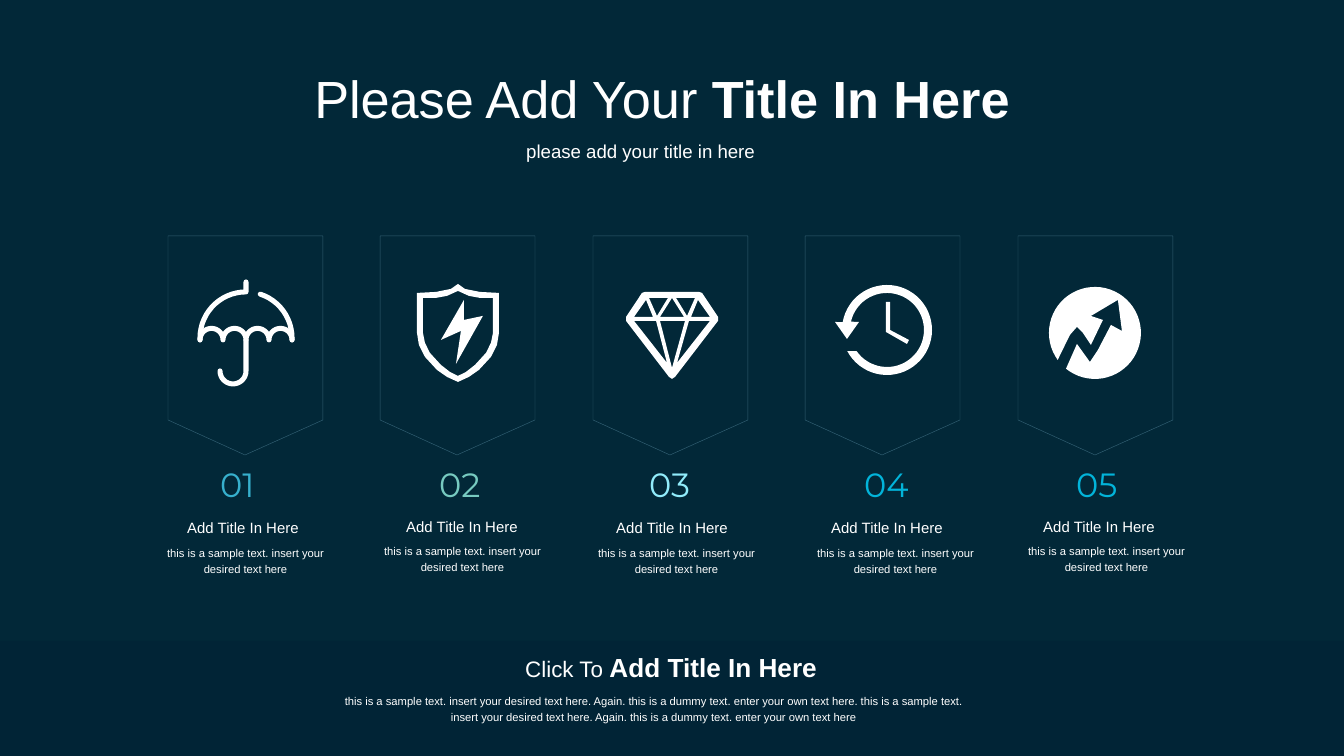
from math import cos, radians, sin

from lxml import etree
from pptx import Presentation
from pptx.dml.color import RGBColor
from pptx.enum.shapes import MSO_SHAPE
from pptx.enum.text import MSO_AUTO_SIZE, PP_ALIGN
from pptx.oxml.ns import qn
from pptx.util import Pt

RECTANGLE = MSO_SHAPE.RECTANGLE
GROW = MSO_AUTO_SIZE.SHAPE_TO_FIT_TEXT
CENTER, LEFT = PP_ALIGN.CENTER, PP_ALIGN.LEFT
PX = 9144000 / 1344
THEME = {
    "background": RGBColor.from_string("022838"),
    "band": RGBColor.from_string("012436"),
    "white": RGBColor.from_string("FFFFFF"),
    "outline": RGBColor.from_string("A4E2FE"),
    "numbers": [RGBColor.from_string(code) for code in
                ("37B0CD", "77CAC0", "91ECFB", "02B4DA", "02B4DA")],
    "font": "Arial",
    "number_font": "Montserrat",
    "title": Pt(28),
    "subtitle": Pt(10),
    "number": Pt(18),
    "heading": Pt(8),
    "body": Pt(6),
    "footer": Pt(12),
    "footer_bold": Pt(14),
    "leading": Pt(9),
}


def arc(x, y, radius, start, end):
    steps = max(8, abs(end - start) // 6)
    angles = [radians(start + (end - start) * step / steps) for step in range(steps + 1)]
    return [(x + radius * cos(angle), y + radius * sin(angle)) for angle in angles]


def add_text(box, parts, size, color=THEME["white"], font=THEME["font"], body=False):
    shape = slide.shapes.add_textbox(*(round(length * PX) for length in box))
    frame = shape.text_frame
    frame.word_wrap = body
    frame.auto_size = GROW
    paragraph = frame.paragraphs[0]
    paragraph.alignment = CENTER if body else LEFT
    if body:
        paragraph.line_spacing = THEME["leading"]
    paragraph.font.name = font
    paragraph.font.size = size
    paragraph.font.color.rgb = color
    for part in parts:
        paragraph.add_run().text = part
    return paragraph


presentation = Presentation()
presentation.slide_width = round(1344 * PX)
presentation.slide_height = round(756 * PX)
slide = presentation.slides.add_slide(presentation.slide_layouts[6])
slide.background.fill.solid()
slide.background.fill.fore_color.rgb = THEME["background"]

title = add_text((301, 60, 731, 77), ["Please Add Your ", "Title In Here"], THEME["title"])
title.runs[1].font.bold = True
add_text((513, 133, 257, 36), ["please add your title in here"], THEME["subtitle"])

umbrella = [
    [(246, 282), (246, 292)] + arc(246, 338, 46, 270, 180) + [(200, 340)],
    arc(246, 338, 46, 288, 360) + [(292, 340)],
    [point for x in (211.5, 234.5, 257.5, 280.5) for point in arc(x, 340, 11.5, 180, 360)],
    [(246, 340)] + arc(233, 371, 13, 0, 180),
]

shield_halves = [
    [(458, 284), (465, 289), (480, 292), (499, 293), (499, 333), (497, 345),
     (491, 357), (479, 370), (469, 377), (458, 382)],
    [(458, 291), (469, 296), (480, 298), (493, 298), (493, 333), (491, 343),
     (486, 353), (475, 365), (466, 372), (458, 376)],
]
shield = [half + [(916 - x, y) for x, y in reversed(half)] for half in shield_halves]
shield.append([(464, 300), (441, 340), (461, 331), (456, 364), (483, 316), (464, 320)])

diamond = [
    [(642, 293), (645, 292), (699, 292), (702, 293), (718, 317), (718, 321),
     (675, 377), (672, 379), (669, 377), (626, 321), (626, 317)],
    [(685, 321), (672, 368), (660, 321)],
    [(660, 317), (672, 298), (684, 317)],
    [(676, 298), (695, 298), (687, 316)],
    [(657, 316), (649, 298), (668, 298)],
    [(667, 363), (634, 321), (656, 321)],
    [(689, 321), (710, 321), (677, 363)],
    [(710, 317), (691, 317), (698, 300)],
    [(646, 300), (653, 317), (634, 317)],
]

clock = [
    arc(887, 330, 45, 190, 512) + arc(887, 330, 37, 505, 193)
    + [(859, 322), (847, 339), (835, 322)],
    [(886, 302), (886, 332), (907, 344), (909, 340), (890, 330), (890, 302)],
]

growth = [
    arc(1095, 333, 46, 144, 489)
    + [(1077, 344), (1090, 362), (1098, 350), (1111, 325), (1122, 331), (1118, 300),
       (1091, 316), (1103, 320), (1091, 345), (1083, 333), (1077, 327), (1070, 335)],
]

items = [
    (umbrella, 207, 136, 0),
    (shield, 426, 353, 1),
    (diamond, 636, 567, 0),
    (clock, 851, 786, 0),
    (growth, 1063, 997, 1),
]
for index, (icon, number_left, body_left, lift) in enumerate(items):
    left = 168 + 425 * index // 2
    badge = [(left, 236), (left + 155, 236), (left + 155, 420), (left + 77, 455), (left, 420)]
    for contours in ([badge], icon):
        stroked = contours is not icon or icon is umbrella
        closed = icon is not umbrella or contours is not icon
        builder = None
        for contour in contours:
            points = [(x * PX, y * PX) for x, y in contour]
            if builder is None:
                builder = slide.shapes.build_freeform(*points[0])
            else:
                builder.move_to(*points[0])
            builder.add_line_segments(points[1:], close=closed)
        shape = builder.convert_to_shape()
        shape.shadow.inherit = False
        if not stroked:
            shape.fill.solid()
            shape.fill.fore_color.rgb = THEME["white"]
            shape.line.fill.background()
            continue
        shape.fill.background()
        shape.line.color.rgb = THEME["white"] if contours is icon else THEME["outline"]
        shape.line.width = Pt(2.7) if contours is icon else Pt(0.25)
        line = shape._element.spPr.find(qn("a:ln"))
        if contours is icon:
            line.set("cap", "rnd")
        else:
            etree.SubElement(line.find(".//" + qn("a:srgbClr")), qn("a:alpha"), val="30000")

    add_text((number_left, 457, 73, 54), [f"{index + 1:02}"], THEME["number"],
             THEME["numbers"][index], THEME["number_font"])
    add_text((number_left - 33, 512 - lift, 141, 32), ["Add Title In Here"], THEME["heading"])
    add_text((body_left, 536 - 2 * lift, 219, 47),
             ["this is a sample text. insert your desired text here"], THEME["body"], body=True)

band = slide.shapes.add_shape(RECTANGLE, 0, round(641 * PX), round(1344 * PX), round(115 * PX))
band.shadow.inherit = False
band.fill.solid()
band.fill.fore_color.rgb = THEME["band"]
band.line.fill.background()
add_text((325, 684, 657, 47),
         ["this is a sample text. insert your desired text here. Again. this is a dummy text. "
          "enter your own text here. this is a sample text. insert your desired text here. "
          "Again. this is a dummy text. enter your own text here"], THEME["body"], body=True)
footer = add_text((512, 645, 321, 46), ["Click To ", "Add Title In Here"], THEME["footer"])
footer.runs[1].font.size = THEME["footer_bold"]
footer.runs[1].font.bold = True

presentation.save("out.pptx")
